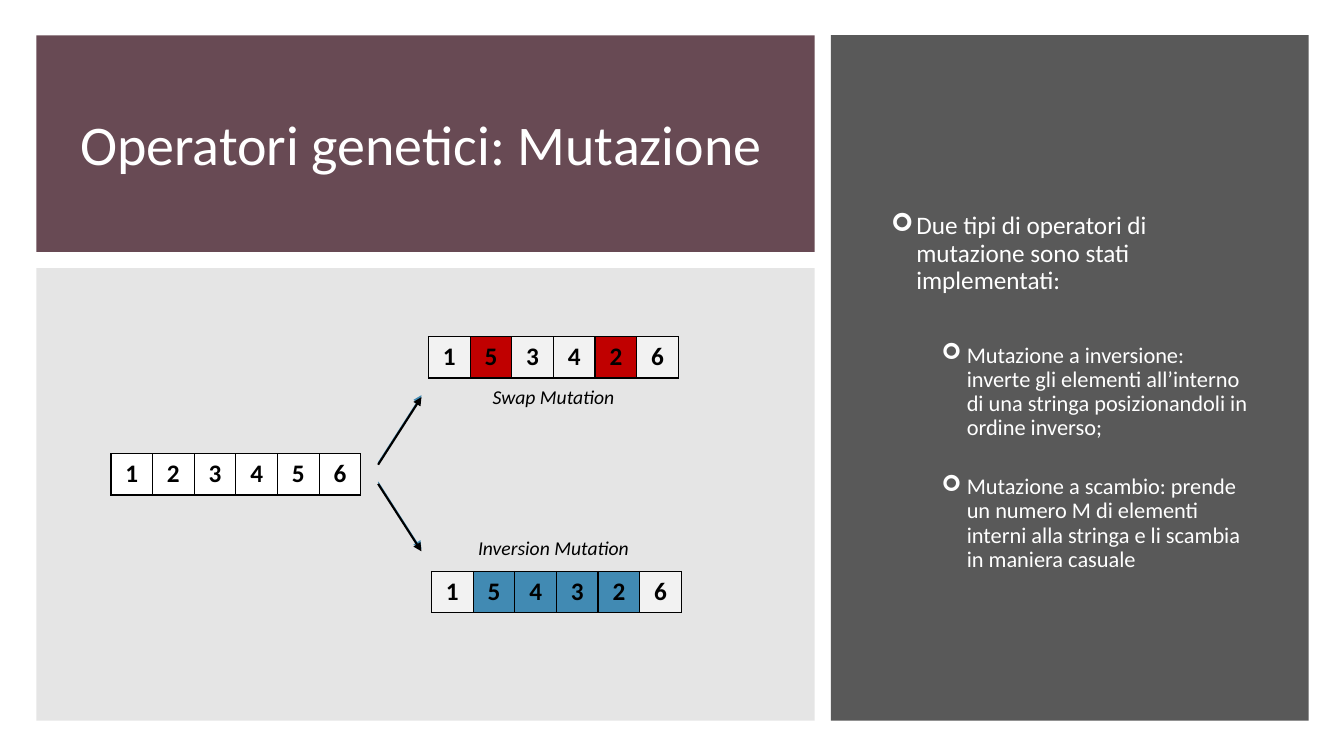
from lxml import etree
from pptx import Presentation
from pptx.dml.color import RGBColor
from pptx.enum.shapes import MSO_CONNECTOR, MSO_SHAPE
from pptx.enum.text import MSO_ANCHOR, MSO_AUTO_SIZE, PP_ALIGN
from pptx.oxml.ns import qn
from pptx.util import Pt

PX = 9144  # 100 px to the inch
RECT, LINE = MSO_SHAPE.RECTANGLE, MSO_CONNECTOR.STRAIGHT
MIDDLE, CENTER = MSO_ANCHOR.MIDDLE, PP_ALIGN.CENTER
GROW, FIXED = MSO_AUTO_SIZE.SHAPE_TO_FIT_TEXT, MSO_AUTO_SIZE.NONE


class Theme:
    font = "Calibri"
    white, black, pale = "FFFFFF", "000000", "F2F2F2"
    plum, slate, gray = "684A54", "595959", "7F7F7F"
    red, blue = "C00000", "418AB3"
    title, lead, point, gene, label = 40, 18, 16, 18, 14


def write(para, text, size, color, **style):
    run = para.add_run()
    run.text = text
    run.font.color.rgb = RGBColor.from_string(color)
    for key, value in dict(name=Theme.font, size=Pt(size), **style).items():
        setattr(run.font, key, value)


def add_text(area, fit=FIXED, anchor=MSO_ANCHOR.TOP):
    """Add a wrapping text box over an area in px and return its frame."""
    frame = slide.shapes.add_textbox(*[n * PX for n in area]).text_frame
    frame.word_wrap = True
    frame.auto_size, frame.vertical_anchor = fit, anchor
    return frame


deck = Presentation()
deck.slide_width, deck.slide_height = 1333 * PX, 750 * PX
slide = deck.slides.add_slide(deck.slide_layouts[6])

# Panels: area, colour, opacity in percent
panels = [
    ((36, 35, 772, 215), Theme.plum, 100),
    ((36, 266, 772, 449), Theme.gray, 20),
    ((824, 35, 474, 680), Theme.slate, 100),
]
for area, color, alpha in panels:
    panel = slide.shapes.add_shape(RECT, *[n * PX for n in area])
    panel.shadow.inherit = False
    panel.fill.solid()
    panel.fill.fore_color.rgb = RGBColor.from_string(color)
    panel.line.fill.background()
    if alpha < 100:
        tint = panel.fill._xPr.find(".//" + qn("a:srgbClr"))
        etree.SubElement(tint, qn("a:alpha"), val=str(alpha * 1000))

# Title
para = add_text((57, 57, 721, 178), anchor=MIDDLE).paragraphs[0]
para.alignment, para.line_spacing = CENTER, 0.9
write(para, "Operatori genetici: Mutazione", Theme.title, Theme.white)

# Points: text, size, indent in px, space before in points
points = [
    ("Due tipi di operatori di mutazione sono stati implementati:",
     Theme.lead, 25, 10),
    ("Mutazione a inversione: inverte gli elementi all’interno di una "
     "stringa posizionandoli in ordine inverso;", Theme.point, 75, 35),
    ("Mutazione a scambio: prende un numero M di elementi interni alla "
     "stringa e li scambia in maniera casuale", Theme.point, 75, 25),
]
frame = add_text((874, 94, 375, 591), anchor=MIDDLE)
for i, (text, size, indent, space) in enumerate(points):
    para = frame.add_paragraph() if i else frame.paragraphs[0]
    para.line_spacing, para.space_before = 0.9, Pt(space)
    props = para._p.get_or_add_pPr()
    props.set("marL", str(indent * PX))
    props.set("indent", str(-25 * PX))
    etree.SubElement(props, qn("a:buFont"), typeface="Wingdings")
    etree.SubElement(props, qn("a:buChar"), char="➢")
    write(para, text, size, Theme.white)

# Strings of genes: left, top, genes, plain fill, changed places, their fill
strings = [
    (110, 450, "123456", Theme.white, (), None),
    (425, 334, "153426", Theme.pale, (1, 4), Theme.red),
    (428, 567, "154326", Theme.pale, (1, 2, 3, 4), Theme.blue),
]
for left, top, genes, plain, places, mark in strings:
    table = slide.shapes.add_table(
        1, len(genes), left * PX, top * PX, 248 * PX, 41 * PX).table
    table.first_row = table.horz_banding = False
    for i, gene in enumerate(genes):
        cell = table.cell(0, i)
        props = cell._tc.get_or_add_tcPr()
        for side in ("lnL", "lnR", "lnT", "lnB"):
            edge = etree.SubElement(props, qn("a:" + side), w=str(Pt(1)))
            fill = etree.SubElement(edge, qn("a:solidFill"))
            etree.SubElement(fill, qn("a:srgbClr"), val=Theme.black)
        cell.fill.solid()
        cell.fill.fore_color.rgb = RGBColor.from_string(
            mark if i in places else plain)
        para = cell.text_frame.paragraphs[0]
        para.alignment = CENTER
        write(para, gene, Theme.gene, Theme.black, bold=True)

# Arrows: a thin blue pair under a black pair
for color, width, shift in ((Theme.blue, 0.5, 0), (Theme.black, 1.5, 2)):
    for start, end in ((459, 392), (478, 545)):
        arrow = slide.shapes.add_connector(
            LINE, 375 * PX, (start + shift) * PX,
            418 * PX, (end + shift) * PX)
        arrow.line.color.rgb = RGBColor.from_string(color)
        arrow.line.width = Pt(width)
        props = arrow._element.spPr
        etree.SubElement(props.find(qn("a:ln")), qn("a:tailEnd"),
                         type="triangle")
        etree.SubElement(props, qn("a:effectLst"))

# Labels
for top, text in ((377, "Swap Mutation"), (527, "Inversion Mutation")):
    para = add_text((457, top, 184, 34), fit=GROW).paragraphs[0]
    para.alignment = CENTER
    write(para, text, Theme.label, Theme.black, italic=True)

deck.save("out.pptx")
